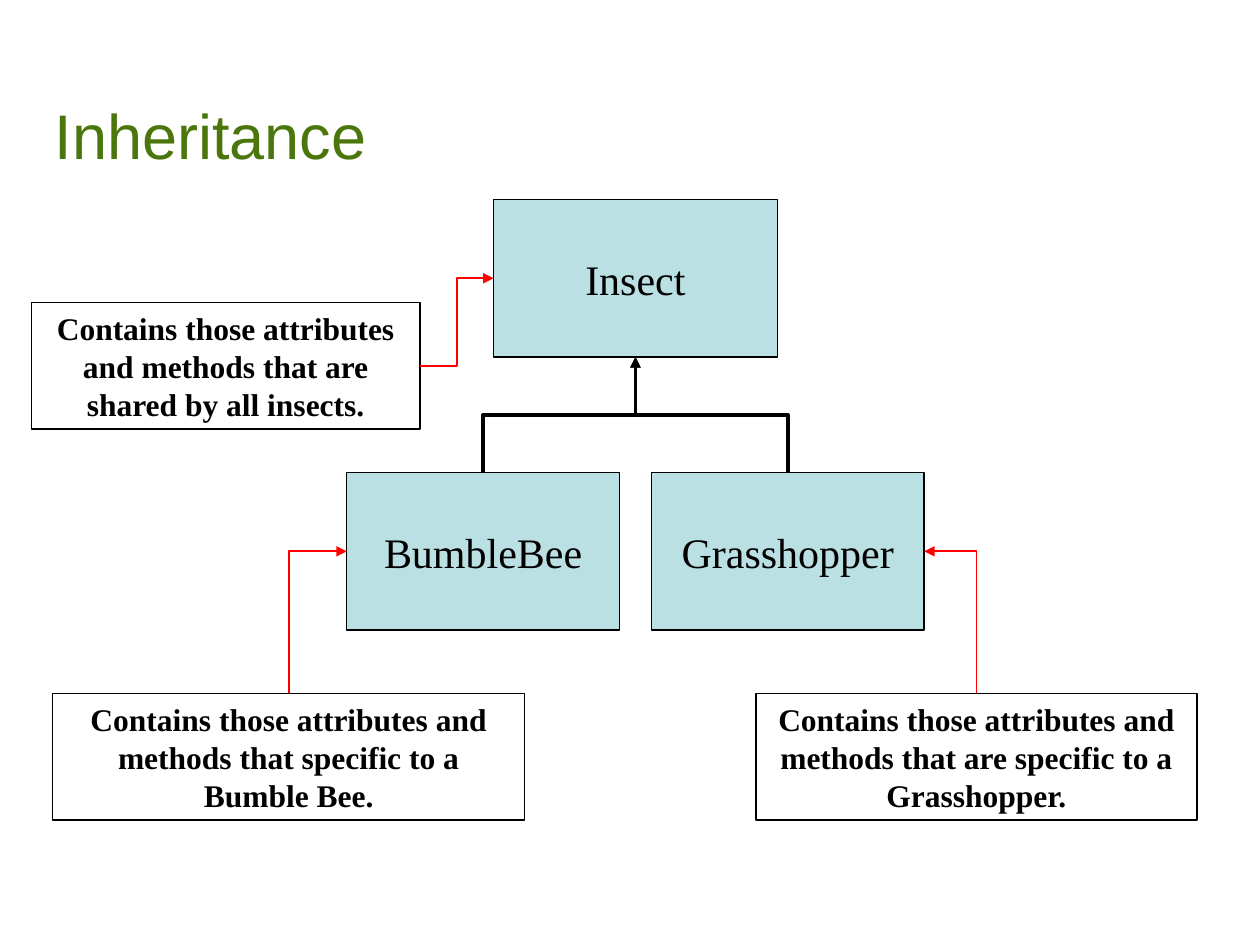
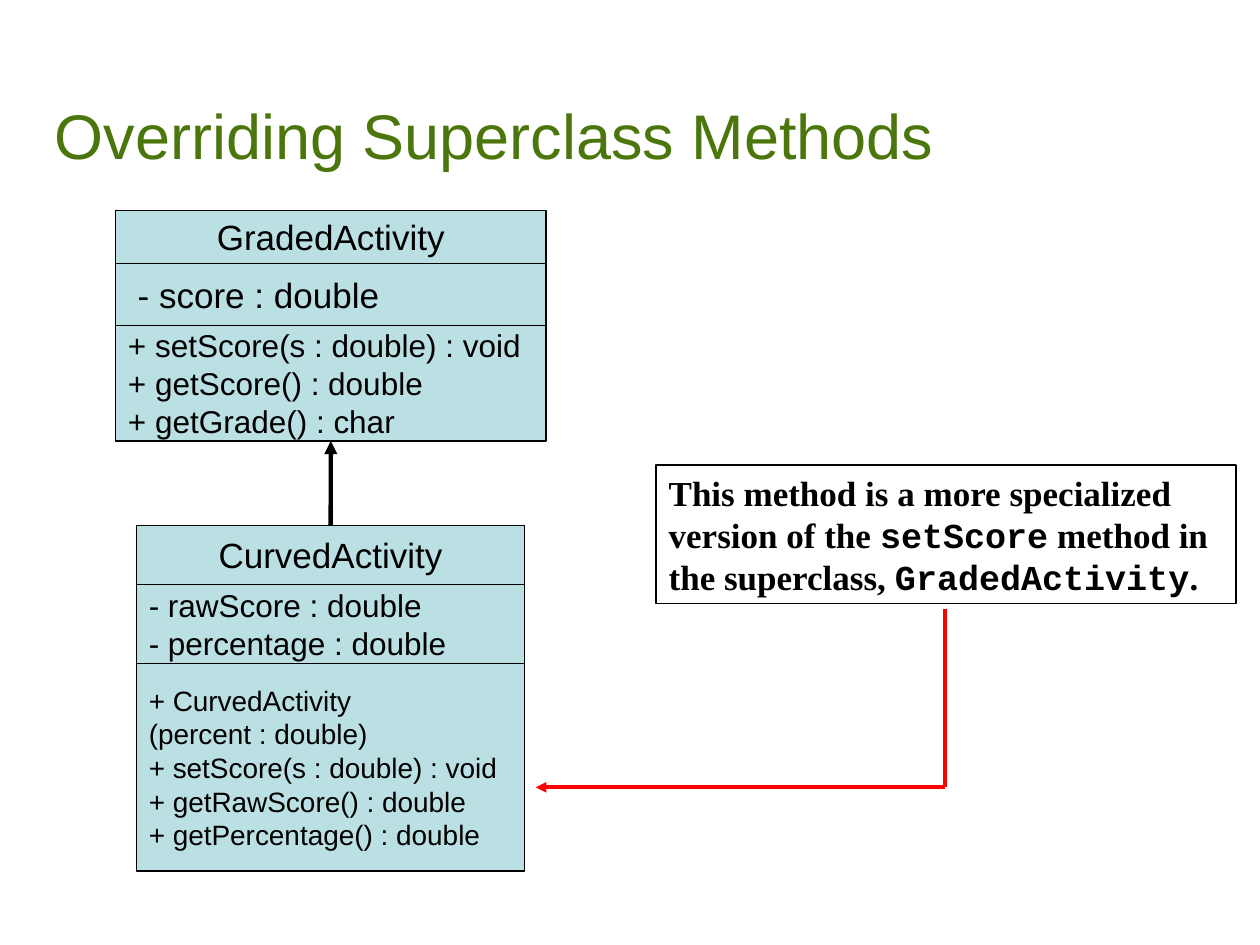
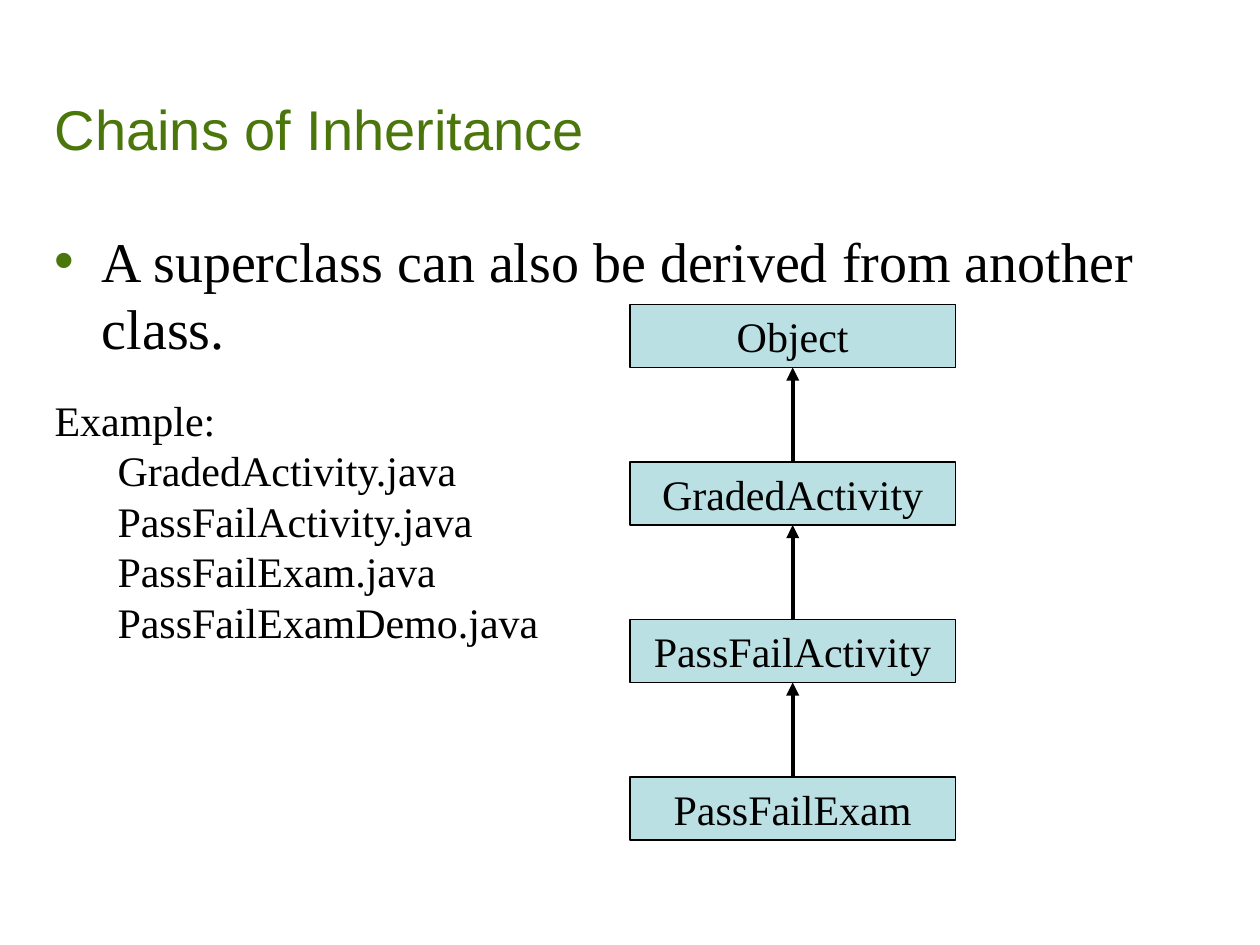
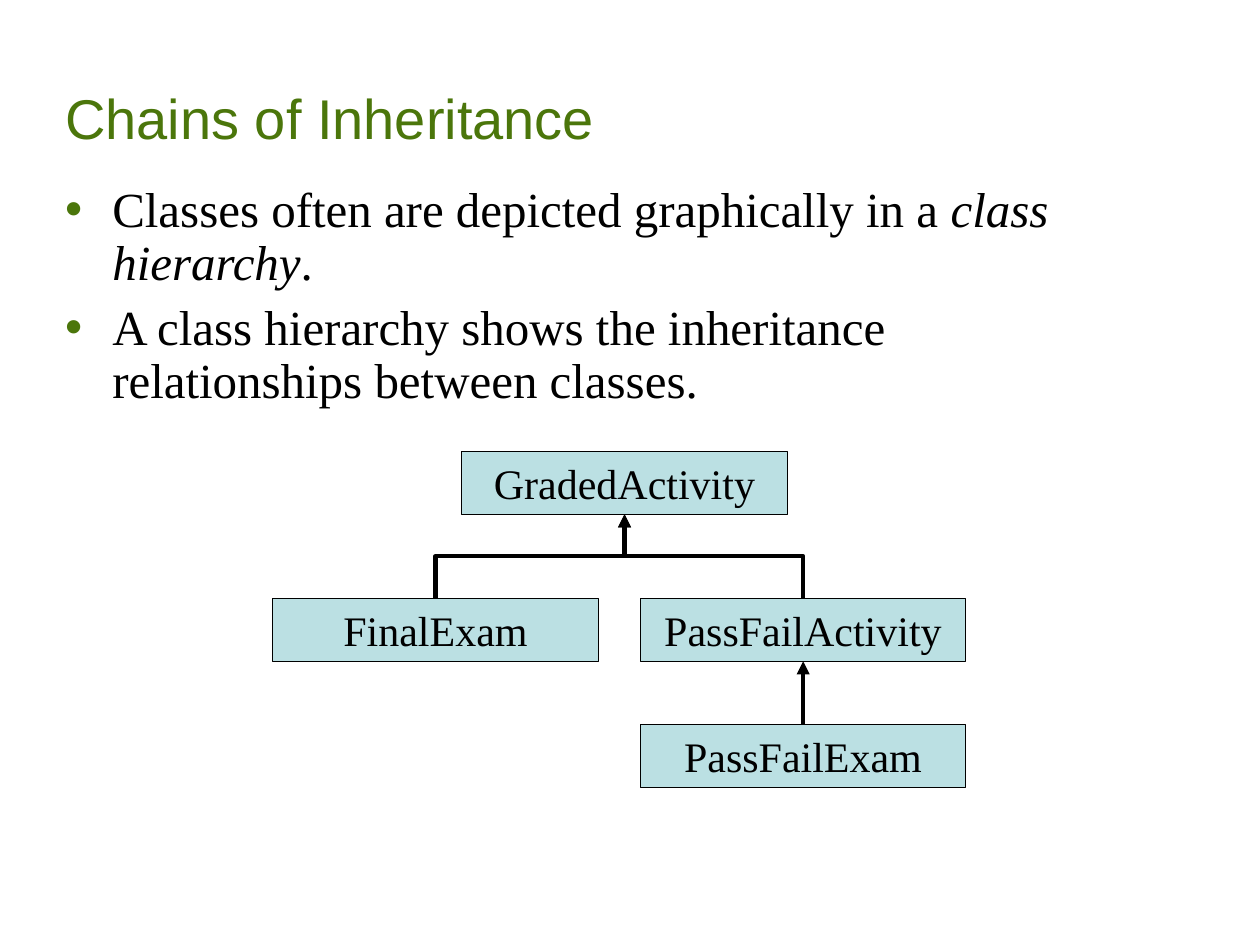
"""Build four slides on class inheritance, with class boxes and arrows."""
from dataclasses import dataclass

from lxml import etree
from pptx import Presentation
from pptx.dml.color import RGBColor
from pptx.enum.shapes import MSO_CONNECTOR, MSO_SHAPE
from pptx.enum.text import MSO_ANCHOR, MSO_AUTO_SIZE, PP_ALIGN
from pptx.oxml.ns import qn
from pptx.util import Cm, Pt


@dataclass(frozen=True)
class Theme:
    green: str = "4B760B"
    teal: str = "BBE0E3"
    black: str = "000000"
    red: str = "FF0000"
    sans: str = "Arial"
    serif: str = "Times New Roman"
    mono: str = "Courier New"
    title: int = 36
    small_title: int = 32
    large_body: int = 32
    body: int = 28
    label: int = 24
    heading: int = 20
    caption: int = 18
    member: int = 16


THEME = Theme()


def write(shape, paragraphs, font, color=THEME.black, align=PP_ALIGN.LEFT,
          anchor=MSO_ANCHOR.MIDDLE, wrap=True, emphasis=None):
    """Fill a shape with text; parts between bars take the emphasis format."""
    frame = shape.text_frame
    for name, value in {"auto_size": MSO_AUTO_SIZE.NONE, "word_wrap": wrap,
                        "vertical_anchor": anchor}.items():
        setattr(frame, name, value)
    for index, text in enumerate(paragraphs):
        paragraph = frame.add_paragraph() if index else frame.paragraphs[0]
        paragraph.alignment = align
        if emphasis:
            for part in text.split("|"):
                paragraph.add_run().text = part
        else:
            paragraph.text = text
        for position, run in enumerate(paragraph.runs):
            extra = emphasis if emphasis and position % 2 else {}
            for name, value in {**font, **extra}.items():
                setattr(run.font, name, value)
            run.font.color.rgb = RGBColor.from_string(color)


def style_line(connector, color, width, arrow=True):
    """Colour a connector, drop its shadow and give its end an arrowhead."""
    connector.line.color.rgb = RGBColor.from_string(color)
    connector.line.width = Pt(width)
    if arrow:
        line = connector.element.spPr.find(qn("a:ln"))
        etree.SubElement(line, qn("a:tailEnd"), type="triangle")
    etree.SubElement(connector.element.spPr, qn("a:effectLst"))


presentation = Presentation()
presentation.slide_width, presentation.slide_height = Cm(25.4), Cm(19.05)

titles = [
    ("Inheritance", 5, THEME.title, (0.85, 0.85, 23.92, 2.75)),
    ("Overriding Superclass Methods", 5, THEME.title, (0.85, 0.85, 23.92, 2.75)),
    ("Chains of Inheritance", 1, THEME.small_title, (0.85, 0.21, 22.86, 3.18)),
    ("Chains of Inheritance", 1, THEME.small_title, (1.06, 0, 23.07, 3.17)),
]
slides = []
for text, layout, size, place in titles:
    slide = presentation.slides.add_slide(presentation.slide_layouts[layout])
    title = slide.shapes.title
    title.left, title.top, title.width, title.height = map(Cm, place)
    write(title, [text], {"name": THEME.sans, "size": Pt(size)}, THEME.green,
          anchor=MSO_ANCHOR.BOTTOM)
    slides.append(slide)

bodies = [
    (2, THEME.large_body, 1, 8, (0.85, 4.44, 23.03, 3.28),
     ["A superclass can also be derived from another class."]),
    (3, THEME.body, 0.9, 7, (1.06, 3.6, 21.59, 5.08),
     ["Classes often are depicted graphically in a |class hierarchy|.",
      "A class hierarchy shows the inheritance relationships between classes."]),
]
for number, size, spacing, gap, place, bullets in bodies:
    body = slides[number].placeholders[1]
    body.left, body.top, body.width, body.height = map(Cm, place)
    write(body, bullets, {"name": THEME.serif, "size": Pt(size), "italic": False},
          anchor=MSO_ANCHOR.TOP, emphasis={"italic": True})
    body.text_frame.margin_right = 0
    for index, paragraph in enumerate(body.text_frame.paragraphs):
        paragraph.line_spacing = spacing
        paragraph.space_before = Pt(gap if index else 0)
        properties = paragraph._p.get_or_add_pPr()
        properties.set("marL", str(Cm(0.95)))
        properties.set("indent", str(-Cm(0.95)))
        bullet_color = etree.SubElement(properties, qn("a:buClr"))
        etree.SubElement(bullet_color, qn("a:srgbClr"), val=THEME.green)
        etree.SubElement(properties, qn("a:buChar"), char="•")

label_font = {"name": THEME.serif, "size": Pt(THEME.label)}
caption_font = {"name": THEME.serif, "size": Pt(THEME.caption), "bold": True}
label_format = {"font": label_font, "align": PP_ALIGN.CENTER, "wrap": False}
caption_format = {"font": caption_font, "align": PP_ALIGN.CENTER}
boxes = [
    (0, "Insect", (9.95, 4.02, 5.72, 3.18), ["Insect"], THEME.teal, label_format),
    (0, "Grasshopper", (13.13, 9.53, 5.5, 3.17), ["Grasshopper"], THEME.teal, label_format),
    (0, "BumbleBee", (6.99, 9.53, 5.5, 3.17), ["BumbleBee"], THEME.teal, label_format),
    (0, "Insect caption", (0.63, 6.1, 7.84, 2.55),
     ["Contains those attributes and methods that are shared by all insects."],
     None, caption_format),
    (0, "BumbleBee caption", (1.06, 13.98, 9.52, 2.55),
     ["Contains those attributes and methods that specific to a Bumble Bee."],
     None, caption_format),
    (0, "Grasshopper caption", (15.24, 13.98, 8.89, 2.55),
     ["Contains those attributes and methods that are specific to a Grasshopper."],
     None, caption_format),
    (1, "Override caption", (13.23, 9.37, 11.69, 2.8),
     ["This method is a more specialized version of the |setScore| method in "
      "the superclass, |GradedActivity|."], None,
     {"font": {**caption_font, "size": Pt(THEME.heading)}, "emphasis": {"name": THEME.mono}}),
]

class_diagrams = [
    (2.33, 4.24, 8.68, [
        ("GradedActivity", 1.07, THEME.heading, ["GradedActivity"]),
        ("GradedActivity fields", 1.25, THEME.heading, [" - score : double"]),
        ("GradedActivity methods", 2.33, THEME.caption,
         ["+ setScore(s : double) : void", "+ getScore() : double", "+ getGrade() : char"]),
    ]),
    (2.75, 10.59, 7.83, [
        ("CurvedActivity", 1.19, THEME.heading, ["CurvedActivity"]),
        ("CurvedActivity fields", 1.6, THEME.caption,
         ["- rawScore : double", "- percentage : double"]),
        ("CurvedActivity methods", 4.18, THEME.member,
         ["+ CurvedActivity", "(percent : double)", "+ setScore(s : double) : void",
          "+ getRawScore() : double", "+ getPercentage() : double"]),
    ]),
]
for left, top, width, sections in class_diagrams:
    for index, (name, height, size, lines) in enumerate(sections):
        section_format = {"font": {"name": THEME.sans, "size": Pt(size)}, "wrap": False,
                          "align": PP_ALIGN.LEFT if index else PP_ALIGN.CENTER}
        boxes.append((1, name, (left, top, width, height), lines, THEME.teal, section_format))
        top += height

chain = ["Object", "GradedActivity", "PassFailActivity", "PassFailExam"]
hierarchy = [("GradedActivity", 9.31, 9.1), ("FinalExam", 5.5, 12.06),
             ("PassFailActivity", 12.91, 12.06), ("PassFailExam", 12.91, 14.6)]
small_boxes = [(2, name, 12.7, 6.14 + 12.7 / 4 * step) for step, name in enumerate(chain)]
small_boxes += [(3, *node) for node in hierarchy]
for number, name, left, top in small_boxes:
    boxes.append((number, name, (left, top, 6.56, 1.27), [name], THEME.teal, label_format))

shapes, sites = {}, {}
for number, name, place, paragraphs, fill, text_format in boxes:
    left, top, width, height = map(Cm, place)
    shape = slides[number].shapes.add_shape(MSO_SHAPE.RECTANGLE, left, top, width, height)
    shape.shadow.inherit = False
    if fill:
        shape.fill.solid()
        shape.fill.fore_color.rgb = RGBColor.from_string(fill)
    else:
        shape.fill.background()
    shape.line.color.rgb = RGBColor.from_string(THEME.black)
    shape.line.width = Pt(0.75)
    write(shape, paragraphs, **text_format)
    middle, center = left + width // 2, top + height // 2
    shapes[number, name] = shape
    sites[number, name] = [(middle, top), (left, center),
                           (middle, top + height), (left + width, center)]
shapes[1, "Override caption"].line.width = Pt(1)

straight_arrows = [(1, "CurvedActivity", "GradedActivity methods"),
                   (3, "PassFailExam", "PassFailActivity")]
straight_arrows += [(2, child, parent) for parent, child in zip(chain, chain[1:])]
for number, child, parent in straight_arrows:
    connector = slides[number].shapes.add_connector(
        MSO_CONNECTOR.STRAIGHT, *sites[number, child][0], *sites[number, parent][2])
    connector.begin_connect(shapes[number, child], 0)
    connector.end_connect(shapes[number, parent], 2)
    style_line(connector, THEME.black, 2.5)

elbow_arrows = [
    (0, "BumbleBee", "Insect", 2, "bentConnector3", THEME.black, 2),
    (0, "Grasshopper", "Insect", 2, "bentConnector3", THEME.black, 2),
    (0, "BumbleBee caption", "BumbleBee", 1, "bentConnector2", THEME.red, 1),
    (0, "Grasshopper caption", "Grasshopper", 3, "bentConnector2", THEME.red, 1),
    (3, "FinalExam", "GradedActivity", 2, "bentConnector3", THEME.black, 2.5),
    (3, "PassFailActivity", "GradedActivity", 2, "bentConnector3", THEME.black, 2.5),
]
for number, start, target, site, preset, color, width in elbow_arrows:
    (begin_x, begin_y), (end_x, end_y) = sites[number, start][0], sites[number, target][site]
    middle, center = (begin_x + end_x) // 2, (begin_y + end_y) // 2
    half_run, half_rise = abs(end_x - begin_x) // 2, (begin_y - end_y) // 2
    direction = 1 if end_x > begin_x else -1
    connector = slides[number].shapes.add_connector(
        MSO_CONNECTOR.ELBOW, middle + direction * half_rise, center + half_run,
        middle - direction * half_rise, center - half_run)
    properties = connector.element.spPr
    properties.find(qn("a:xfrm")).set("rot", "5400000" if direction > 0 else "16200000")
    properties.find(qn("a:prstGeom")).set("prst", preset)
    style_line(connector, color, width)

insect_arrow = slides[0].shapes.add_connector(
    MSO_CONNECTOR.ELBOW, *sites[0, "Insect caption"][3], *sites[0, "Insect"][1])
style_line(insect_arrow, THEME.red, 1)

for begin, end, arrow in [((19.05, 15.87), (10.8, 15.87), True),
                          ((19.05, 12.27), (19.05, 15.87), False)]:
    connector = slides[1].shapes.add_connector(
        MSO_CONNECTOR.STRAIGHT, *map(Cm, begin), *map(Cm, end))
    style_line(connector, THEME.red, 2, arrow)

example = slides[2].shapes.add_textbox(Cm(0.85), Cm(7.83), Cm(10.26), Cm(5.33))
write(example, ["Example:\vGradedActivity.java\vPassFailActivity.java\v"
                "PassFailExam.java\vPassFailExamDemo.java"],
      label_font, anchor=MSO_ANCHOR.TOP, wrap=False)
properties = example.text_frame.paragraphs[0]._p.get_or_add_pPr()
properties.set("marL", str(Cm(1.27)))
properties.set("indent", str(-Cm(1.27)))

presentation.save("out.pptx")
